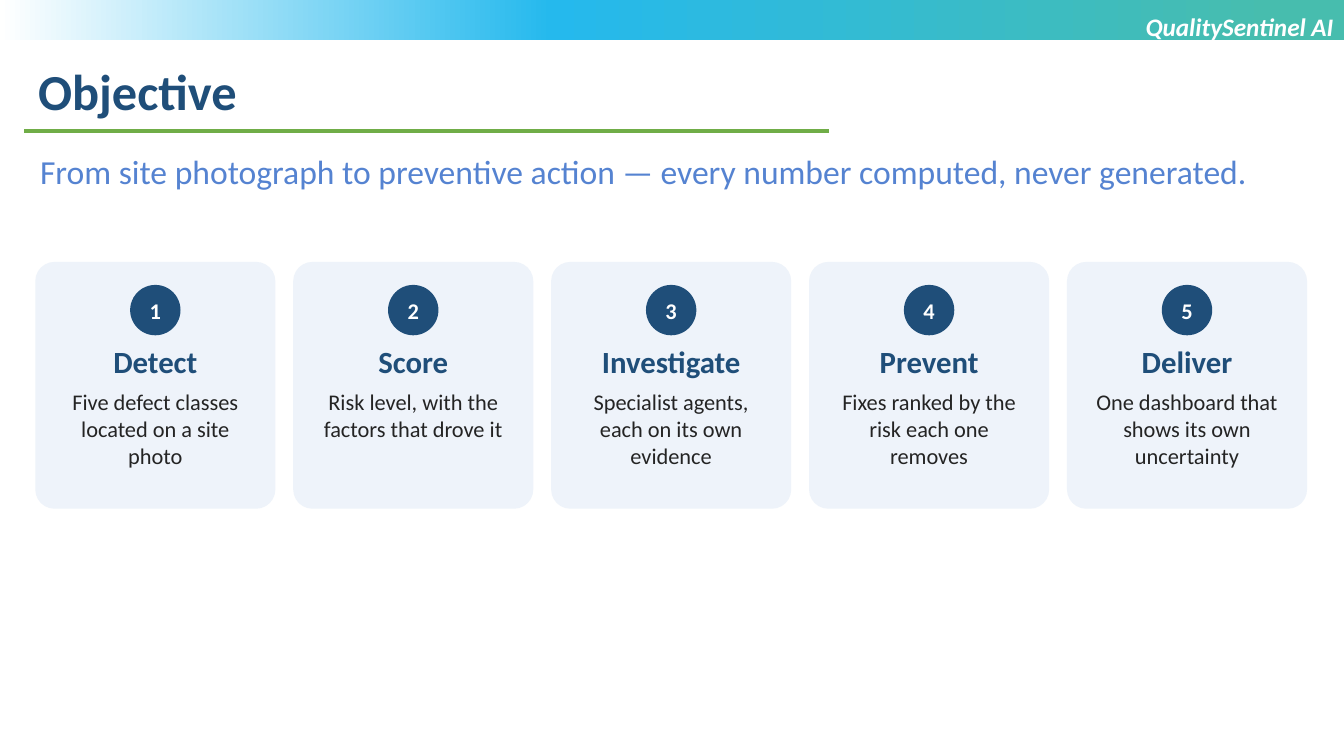
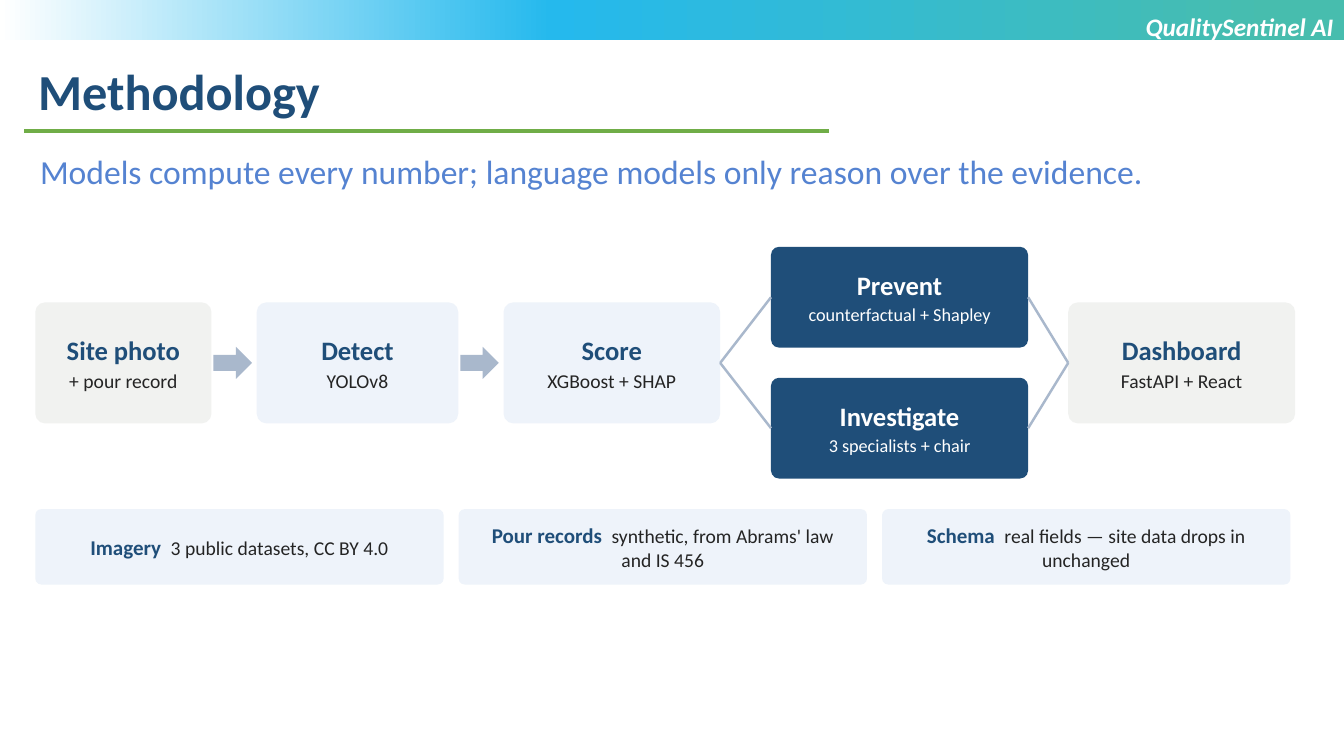
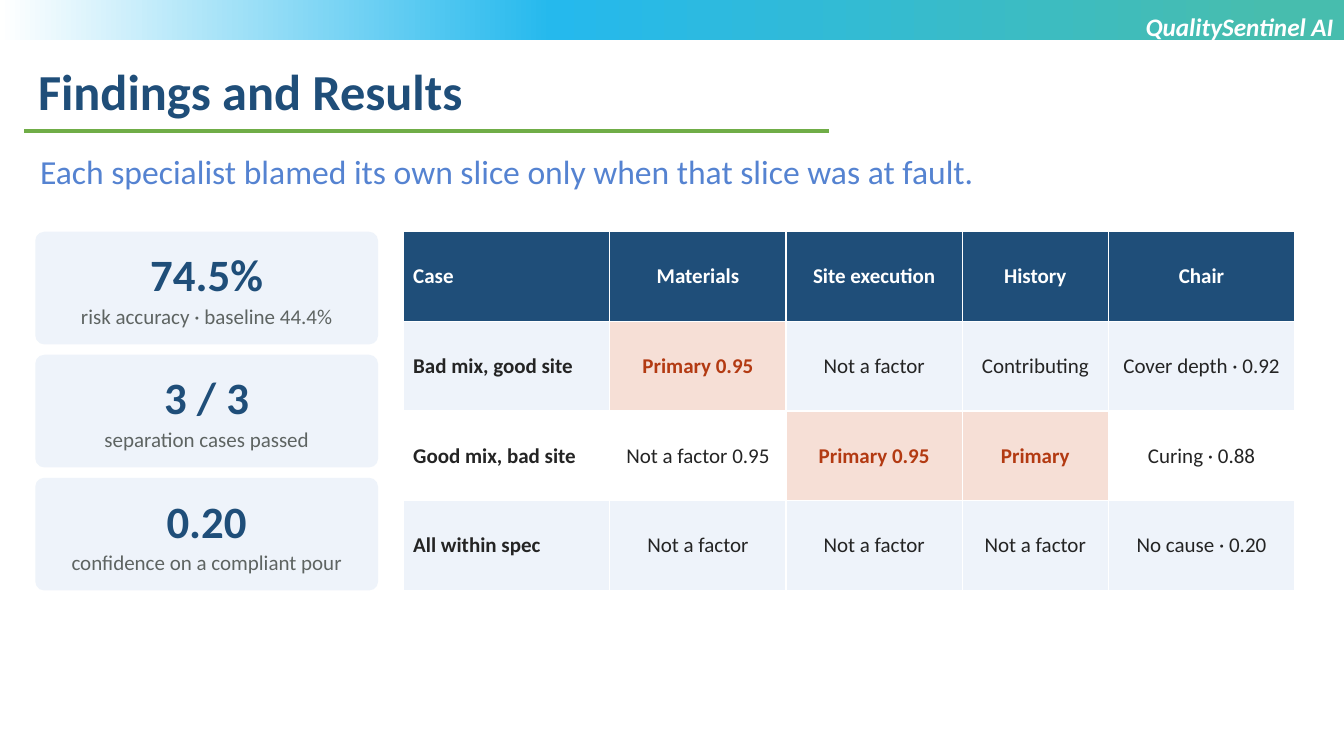
from lxml import etree
from pptx import Presentation
from pptx.dml.color import RGBColor
from pptx.enum.shapes import MSO_CONNECTOR, MSO_SHAPE
from pptx.enum.text import MSO_ANCHOR, PP_ALIGN
from pptx.oxml.ns import qn
from pptx.util import Cm, Pt

FONT = "Calibri"
NAVY = RGBColor(0x1F, 0x4E, 0x79)
BLUE = RGBColor(0x55, 0x83, 0xD1)
GREEN = RGBColor(0x70, 0xAD, 0x47)
PALE = RGBColor(0xEE, 0xF3, 0xFA)
STONE = RGBColor(0xF1, 0xF2, 0xF0)
STEEL = RGBColor(0xA9, 0xB8, 0xCC)
INK = RGBColor(0x24, 0x24, 0x24)
GREY = RGBColor(0x5E, 0x64, 0x62)
RUST = RGBColor(0xB3, 0x3A, 0x12)
BLUSH = RGBColor(0xF6, 0xDF, 0xD6)
WHITE = RGBColor(0xFF, 0xFF, 0xFF)
BAND_STOPS = [(0, "FFFFFF"), (41, "25B9ED"), (95, "47BDAE")]

SLIDE_W, SLIDE_H = 33.87, 19.05
LEFT = 0.89
CENTER = PP_ALIGN.CENTER


# Basic parts, all lengths in centimetres
def style(p, size, color, bold=False, align=PP_ALIGN.LEFT):
    p.alignment = align
    for r in p.runs:
        f = r.font
        f.name, f.size, f.bold, f.color.rgb = FONT, Pt(size), bold, color


def add_label(s, x, y, w, h, text, size, color, bold=False, align=PP_ALIGN.LEFT):
    tf = s.shapes.add_textbox(Cm(x), Cm(y), Cm(w), Cm(h)).text_frame
    tf.word_wrap = True
    p = tf.paragraphs[0]
    p.text = text
    style(p, size, color, bold, align)
    return p


def add_shape(s, kind, x, y, w, h, fill, insets=(0.36, 0.2, 0.36, 0.2)):
    sp = s.shapes.add_shape(kind, Cm(x), Cm(y), Cm(w), Cm(h))
    sp.shadow.inherit = False
    sp.fill.solid()
    sp.fill.fore_color.rgb = fill
    sp.line.fill.background()
    tf = sp.text_frame
    tf.word_wrap = True
    tf.vertical_anchor = MSO_ANCHOR.MIDDLE
    tf.margin_left, tf.margin_top, tf.margin_right, tf.margin_bottom = map(Cm, insets)
    return sp


def add_panel(s, x, y, w, h, fill, **kw):
    sp = add_shape(s, MSO_SHAPE.ROUNDED_RECTANGLE, x, y, w, h, fill, **kw)
    sp.adjustments[0] = 0.08
    return sp


def write_pair(sp, head, note, sizes, colors, gap=2):
    """Bold heading with a plain note under it."""
    tf = sp.text_frame
    tf.text = head
    style(tf.paragraphs[0], sizes[0], colors[0], True, CENTER)
    p = tf.add_paragraph()
    p.text = note
    p.space_before = Pt(gap)
    style(p, sizes[1], colors[1], False, CENTER)


def add_line(s, color, width, x1=0, y1=0, x2=0, y2=0):
    ln = s.shapes.add_connector(MSO_CONNECTOR.STRAIGHT, Cm(x1), Cm(y1), Cm(x2), Cm(y2))
    ln.line.color.rgb = color
    ln.line.width = Pt(width)
    etree.SubElement(ln._element.spPr, qn("a:effectLst"))
    return ln


def join(s, start, end):
    ln = add_line(s, STEEL, 1.75)
    ln.begin_connect(start, 3)
    ln.end_connect(end, 1)


# Frame shared by every slide
def add_band(s):
    band = add_shape(s, MSO_SHAPE.RECTANGLE, 0, 0, SLIDE_W, 1.02, WHITE)
    band.fill.gradient()
    band.fill.gradient_angle = 0
    stops = band._element.spPr.find(".//" + qn("a:gsLst"))
    for gs in list(stops):
        stops.remove(gs)
    for pos, color in BAND_STOPS:
        gs = etree.SubElement(stops, qn("a:gs"), pos=str(pos * 1000))
        etree.SubElement(gs, qn("a:srgbClr"), val=color)


def new_slide(prs, title, subtitle):
    s = prs.slides.add_slide(prs.slide_layouts[6])
    add_band(s)
    add_label(s, 0.76, 3.68, 31.5, 1.78, subtitle, 24, BLUE)
    add_label(s, 0.71, 1.4, 29.51, 1.8, title, 36, NAVY, True)
    add_line(s, GREEN, 2.25, 0.61, 3.3, 20.9, 3.3)
    name = add_label(s, 16.92, 0.15, 16.94, 1.8, "QualitySentinel AI", 18, WHITE,
                     True, PP_ALIGN.RIGHT)
    name.runs[0].font.italic = True
    return s


# Objective: numbered cards
def add_card(s, x, y, w, h, number, head, note):
    card = add_panel(s, x, y, w, h, PALE, insets=(0.36, 1.9, 0.36, 0.2))
    card.text_frame.vertical_anchor = MSO_ANCHOR.TOP
    write_pair(card, head, note, (22, 16), (NAVY, INK), gap=6)
    d = 1.27
    badge = add_shape(s, MSO_SHAPE.OVAL, x + (w - d) / 2, y + 0.58, d, d, NAVY,
                      insets=(0, 0, 0, 0))
    badge.text_frame.text = str(number)
    style(badge.text_frame.paragraphs[0], 16, WHITE, True, CENTER)


def objective(prs):
    s = new_slide(prs, "Objective", "From site photograph to preventive action — "
                  "every number computed, never generated.")
    cards = [
        ("Detect", "Five defect classes located on a site photo"),
        ("Score", "Risk level, with the factors that drove it"),
        ("Investigate", "Specialist agents, each on its own evidence"),
        ("Prevent", "Fixes ranked by the risk each one removes"),
        ("Deliver", "One dashboard that shows its own uncertainty"),
    ]
    for i, (head, note) in enumerate(cards):
        add_card(s, LEFT + i * 6.5, 6.6, 6.05, 6.22, i + 1, head, note)


# Methodology: flow with two branches, then data facts
def add_step(s, x, y, w, h, head, note, fill):
    step = add_panel(s, x, y, w, h, fill)
    dark = fill == NAVY
    colors = (WHITE, WHITE) if dark else (NAVY, INK)
    write_pair(step, head, note, (19, 13 if dark else 14), colors)
    return step


def add_flow(s, x, y):
    h, gap = 3.05, 1.14
    steps = [
        (4.44, "Site photo", "+ pour record", STONE),
        (5.08, "Detect", "YOLOv8", PALE),
        (5.46, "Score", "XGBoost + SHAP", PALE),
    ]
    left = x
    for i, (w, head, note, fill) in enumerate(steps):
        if i:
            add_shape(s, MSO_SHAPE.RIGHT_ARROW, left - gap + 0.05, y + 1.12,
                      0.97, 0.81, STEEL)
        score = add_step(s, left, y, w, h, head, note, fill)
        left += w + gap
    dashboard = add_step(s, x + 26.03, y, 5.72, h, "Dashboard", "FastAPI + React", STONE)
    branches = [("Prevent", "counterfactual + Shapley"),
                ("Investigate", "3 specialists + chair")]
    for i, (head, note) in enumerate(branches):
        branch = add_step(s, x + 18.54, y - 1.4 + i * 3.3, 6.48, 2.54, head, note, NAVY)
        join(s, score, branch)
        join(s, branch, dashboard)


def add_fact(s, x, y, w, h, head, note):
    p = add_panel(s, x, y, w, h, PALE).text_frame.paragraphs[0]
    for text in (head, " ", note):
        p.add_run().text = text
    style(p, 14, INK, False, CENTER)
    label, space, _ = p.runs
    for r in (label, space):
        r.font.size, r.font.bold, r.font.color.rgb = Pt(15), True, NAVY
    space._r.get_or_add_rPr().set("spc", "340")  # wider gap after the label


def methodology(prs):
    s = new_slide(prs, "Methodology", "Models compute every number; "
                  "language models only reason over the evidence.")
    add_flow(s, LEFT, 7.62)
    facts = [
        ("Imagery", "3 public datasets, CC BY 4.0"),
        ("Pour records", "synthetic, from Abrams' law and IS 456"),
        ("Schema", "real fields — site data drops in unchanged"),
    ]
    for i, (head, note) in enumerate(facts):
        add_fact(s, LEFT + i * 10.67, 12.83, 10.29, 1.9, head, note)


# Findings: key figures beside a results table
def add_results(s, x, y, widths, row_h, rows):
    table = s.shapes.add_table(len(rows), len(widths), Cm(x), Cm(y),
                               Cm(sum(widths)), Cm(row_h * len(rows))).table
    table.horz_banding = False
    for column, w in zip(table.columns, widths):
        column.width = Cm(w)
    for i, values in enumerate(rows):
        table.rows[i].height = Cm(row_h)
        for j, value in enumerate(values):
            if i == 0:
                fill, color = NAVY, WHITE
            elif value.startswith("Primary"):
                fill, color = BLUSH, RUST
            else:
                fill, color = (PALE if i % 2 else WHITE), INK
            cell = table.cell(i, j)
            cell.fill.solid()
            cell.fill.fore_color.rgb = fill
            cell.vertical_anchor = MSO_ANCHOR.MIDDLE
            cell.text_frame.text = value
            style(cell.text_frame.paragraphs[0], 15, color, j == 0 or color != INK,
                  CENTER if j else PP_ALIGN.LEFT)


def findings(prs):
    s = new_slide(prs, "Findings and Results", "Each specialist blamed its own slice "
                  "only when that slice was at fault.")
    top = 5.84
    figures = [
        ("74.5%", "risk accuracy · baseline 44.4%"),
        ("3 / 3", "separation cases passed"),
        ("0.20", "confidence on a compliant pour"),
    ]
    for i, (value, note) in enumerate(figures):
        panel = add_panel(s, LEFT, top + i * 3.1, 8.64, 2.84, PALE)
        write_pair(panel, value, note, (32, 15), (NAVY, GREY))
    add_results(s, 10.16, top, (5.21, 4.44, 4.44, 3.68, 4.7), 2.26, [
        ("Case", "Materials", "Site execution", "History", "Chair"),
        ("Bad mix, good site", "Primary 0.95", "Not a factor", "Contributing",
         "Cover depth · 0.92"),
        ("Good mix, bad site", "Not a factor 0.95", "Primary 0.95", "Primary",
         "Curing · 0.88"),
        ("All within spec", "Not a factor", "Not a factor", "Not a factor",
         "No cause · 0.20"),
    ])


def main():
    prs = Presentation()
    prs.slide_width, prs.slide_height = Cm(SLIDE_W), Cm(SLIDE_H)
    for build in (objective, methodology, findings):
        build(prs)
    prs.save("out.pptx")


if __name__ == "__main__":
    main()
